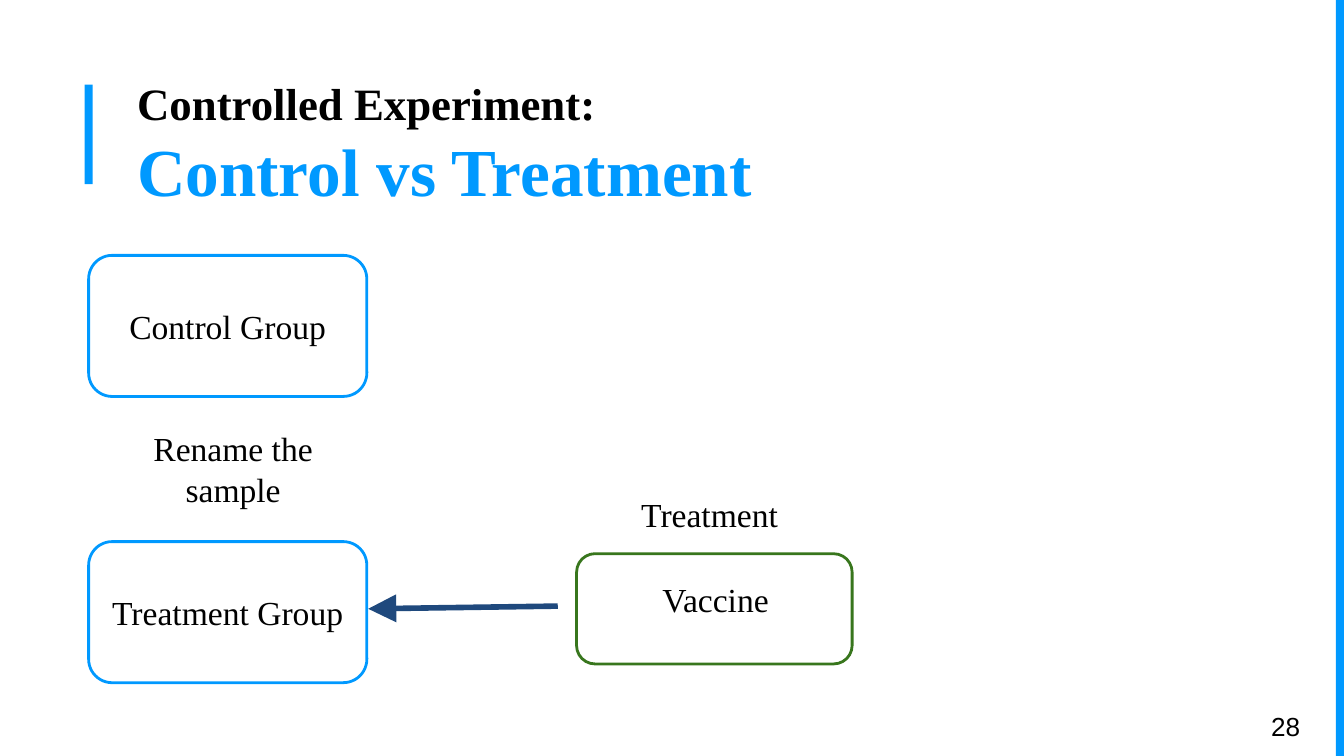
from dataclasses import dataclass

from lxml import etree
from pptx import Presentation
from pptx.dml.color import RGBColor
from pptx.enum import shapes, text
from pptx.oxml import ns
from pptx.util import Inches, Pt


@dataclass(frozen=True)
class Theme:
    accent: str = "0099FF"
    treatment: str = "38761D"
    arrow: str = "1F497D"
    ink: str = "000000"
    paper: str = "FFFFFF"
    serif: str = "Times New Roman"
    sans: str = "Arial"
    kicker_size: int = 24
    title_size: int = 36
    body_size: int = 18
    number_size: int = 14


THEME = Theme()
CENTER = text.PP_ALIGN.CENTER
LEFT = text.PP_ALIGN.LEFT
SLIDE_WIDTH = 10
SLIDE_HEIGHT = SLIDE_WIDTH * 9 / 16


def color(value):
    return RGBColor.from_string(value)


def inches(values):
    return [Inches(value) for value in values]


def add_run(paragraph, words, size, ink=THEME.ink, name=THEME.serif, bold=False):
    run = paragraph.add_run()
    run.text = words
    run.font.size = Pt(size)
    run.font.name = name
    run.font.bold = bold
    run.font.color.rgb = color(ink)


def prepare_frame(frame, anchor=text.MSO_ANCHOR.MIDDLE):
    frame.word_wrap = True
    frame.auto_size = text.MSO_AUTO_SIZE.NONE
    frame.vertical_anchor = anchor
    frame.margin_left = frame.margin_right = Inches(0.1)
    frame.margin_top = frame.margin_bottom = Inches(0.1)


def write_line(shape, words, size=THEME.body_size, name=THEME.serif, align=CENTER):
    prepare_frame(shape.text_frame)
    paragraph = shape.text_frame.paragraphs[0]
    paragraph.alignment = align
    add_run(paragraph, words, size, name=name)


def add_bar(slide, box):
    bar = slide.shapes.add_shape(shapes.MSO_SHAPE.RECTANGLE, *inches(box))
    bar.shadow.inherit = False
    bar.fill.solid()
    bar.fill.fore_color.rgb = color(THEME.accent)
    bar.line.fill.background()


def add_card(slide, box, outline, words=None):
    card = slide.shapes.add_shape(shapes.MSO_SHAPE.ROUNDED_RECTANGLE, *inches(box))
    card.shadow.inherit = False
    card.adjustments[0] = 0.167
    card.fill.solid()
    card.fill.fore_color.rgb = color(THEME.paper)
    card.line.color.rgb = color(outline)
    card.line.width = Pt(1.5)
    if words:
        write_line(card, words)


def add_label(slide, box, words, **style):
    write_line(slide.shapes.add_textbox(*inches(box)), words, **style)


def add_arrow(slide, tip, tail):
    arrow = slide.shapes.add_connector(
        shapes.MSO_CONNECTOR.STRAIGHT, *inches(tip + tail))
    arrow.line.color.rgb = color(THEME.arrow)
    arrow.line.width = Pt(3)
    etree.SubElement(arrow.line._get_or_add_ln(), ns.qn("a:headEnd"),
                     type="triangle", w="lg", len="lg")
    etree.SubElement(arrow._element.spPr, ns.qn("a:effectLst"))


def set_title(slide, box, lines):
    title = slide.shapes.title
    title.left, title.top, title.width, title.height = inches(box)
    frame = title.text_frame
    prepare_frame(frame, text.MSO_ANCHOR.TOP)
    for index, (words, size, ink) in enumerate(lines):
        paragraph = frame.add_paragraph() if index else frame.paragraphs[0]
        paragraph.alignment = LEFT
        paragraph.line_spacing = 1.0
        paragraph.space_before = Pt(0)
        add_run(paragraph, words, size, ink, bold=True)


def main():
    presentation = Presentation()
    presentation.slide_width = Inches(SLIDE_WIDTH)
    presentation.slide_height = Inches(SLIDE_HEIGHT)
    slide = presentation.slides.add_slide(presentation.slide_layouts[5])

    # Accent bars and page number
    add_bar(slide, (0.63, 0.63, 0.06, 0.74))
    add_bar(slide, (9.94, 0, 0.06, SLIDE_HEIGHT))
    add_label(slide, (9.36, 5.19, 0.6, 0.43), "28",
              size=THEME.number_size, name=THEME.sans, align=LEFT)

    # The two groups
    for top, words in ((1.9, "Control Group"), (4.03, "Treatment Group")):
        add_card(slide, (0.66, top, 2.07, 1.05), THEME.accent, words)
    add_label(slide, (0.66, 3.29, 2.15, 0.39), "Rename the sample")

    # The treatment and its arrow to the treatment group
    add_card(slide, (4.29, 4.12, 2.05, 0.82), THEME.treatment)
    add_label(slide, (4.46, 4.27, 1.73, 0.37), "Vaccine")
    add_label(slide, (3.92, 3.6, 2.72, 0.45), "Treatment")
    add_arrow(slide, (2.74, 4.53), (4.15, 4.51))

    # Title
    set_title(slide, (0.92, 0.46, 8.51, 0.94), [
        ("Controlled Experiment:", THEME.kicker_size, THEME.ink),
        ("Control vs Treatment", THEME.title_size, THEME.accent),
    ])

    presentation.save("out.pptx")


if __name__ == "__main__":
    main()
